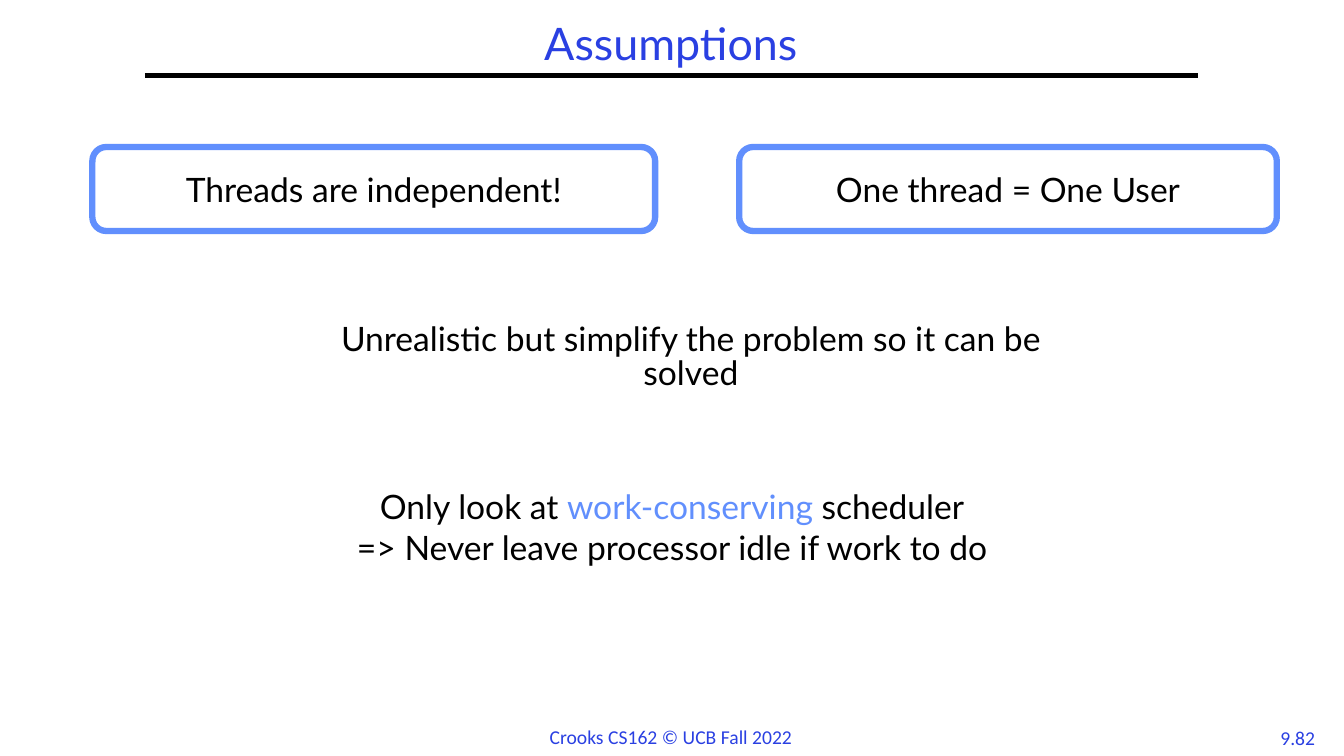
from lxml import etree
from pptx import Presentation
from pptx.dml.color import RGBColor
from pptx.enum.shapes import MSO_CONNECTOR, MSO_SHAPE
from pptx.enum.text import MSO_ANCHOR, MSO_AUTO_SIZE, PP_ALIGN
from pptx.oxml.ns import qn
from pptx.util import Pt

PX = 9525
LINE = MSO_CONNECTOR.STRAIGHT
ROUND_RECT = MSO_SHAPE.ROUNDED_RECTANGLE
MIDDLE = MSO_ANCHOR.MIDDLE
CENTER = PP_ALIGN.CENTER
LEFT = PP_ALIGN.LEFT
NO_FIT = MSO_AUTO_SIZE.NONE

BLACK = RGBColor(0x00, 0x00, 0x00)
WHITE = RGBColor(0xFF, 0xFF, 0xFF)
ROYAL = RGBColor(0x2A, 0x40, 0xE2)
SKY = RGBColor(0x61, 0x8F, 0xFD)


class SlideBuilder:
    font = "Lato"
    footer_font = "Calibri"

    def __init__(self, prs):
        self.s = prs.slides.add_slide(prs.slide_layouts[5])

    def emu(self, *lengths):
        return [n * PX for n in lengths]

    def style(self, p, size=24, color=BLACK, font=None, align=CENTER, spacing=None):
        p.alignment = align
        p.line_spacing = spacing
        p.font.name = font or self.font
        p.font.size = Pt(size)
        p.font.color.rgb = color

    def title(self, text, *box):
        sp = self.s.shapes.title
        sp.left, sp.top, sp.width, sp.height = self.emu(*box)
        tf = sp.text_frame
        tf.text = text
        tf.auto_size = NO_FIT
        tf.vertical_anchor = MIDDLE
        self.style(tf.paragraphs[0], 32, ROYAL, spacing=0.9)

    def rule(self, x1, y1, x2, y2):
        sp = self.s.shapes.add_connector(LINE, *self.emu(x1, y1, x2, y2))
        sp.line.color.rgb = BLACK
        sp.line.width = Pt(3)
        etree.SubElement(sp._element.spPr, qn("a:effectLst"))

    def box(self, text, *box):
        sp = self.s.shapes.add_shape(ROUND_RECT, *self.emu(*box))
        sp.shadow.inherit = False
        sp.fill.solid()
        sp.fill.fore_color.rgb = WHITE
        sp.line.color.rgb = SKY
        sp.line.width = Pt(4.5)
        tf = sp.text_frame
        tf.text = text
        tf.vertical_anchor = MIDDLE
        self.style(tf.paragraphs[0])

    def text(self, lines, *box):
        tf = self.s.shapes.add_textbox(*self.emu(*box)).text_frame
        tf.word_wrap = True
        for i, runs in enumerate(lines):
            p = tf.add_paragraph() if i else tf.paragraphs[0]
            self.style(p, spacing=0.85)
            if i:
                p.space_before = Pt(4.8)
            for text, color in runs:
                r = p.add_run()
                r.text = text
                r.font.color.rgb = color

    def footer(self, text, align, *box):
        tf = self.s.shapes.add_textbox(*self.emu(*box)).text_frame
        tf.word_wrap = False
        tf.text = text
        self.style(tf.paragraphs[0], 14, ROYAL, self.footer_font, align)


def main():
    prs = Presentation()
    prs.slide_width, prs.slide_height = 1280 * PX, 720 * PX
    s = SlideBuilder(prs)
    s.footer("9.82", CENTER, 1208, 687, 56, 32)
    s.rule(138, 72, 1141, 72)
    s.footer("Crooks CS162 © UCB Fall 2022", LEFT, 514, 686, 252, 33)
    s.title("Assumptions", 138, 16, 1002, 56)
    s.text([[("Unrealistic but simplify the problem so it can be solved", BLACK)]],
           288, 304, 740, 88)
    s.box("Threads are independent!", 88, 140, 536, 80)
    s.box("One thread = One User", 704, 140, 512, 80)
    s.text([[("Only look at ", BLACK), ("work-conserving", SKY), (" scheduler", BLACK)],
            [("=> Never leave processor idle if work to do", BLACK)]],
           28, 464, 1224, 88)
    prs.save("out.pptx")


if __name__ == "__main__":
    main()
